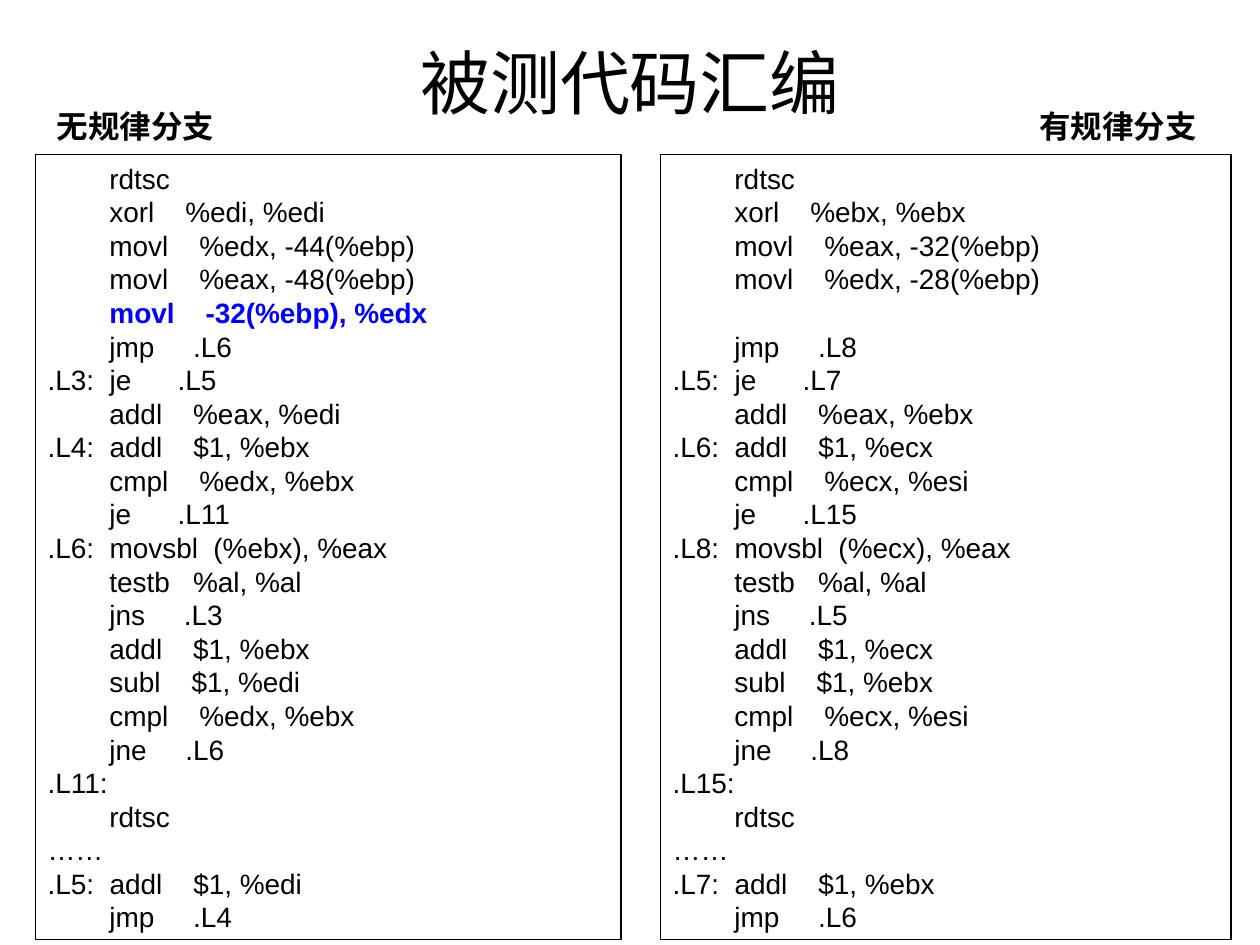
from pptx import Presentation, util as u
from pptx.dml.color import RGBColor
from pptx.enum import shapes, text

COLORS = {"black": "000000", "blue": "0000FF"}

IRREGULAR = """\
        rdtsc
        xorl    %edi, %edi
        movl    %edx, -44(%ebp)
        movl    %eax, -48(%ebp)
        movl    -32(%ebp), %edx
        jmp     .L6
.L3:  je      .L5
        addl    %eax, %edi
.L4:  addl    $1, %ebx
        cmpl    %edx, %ebx
        je      .L11
.L6:  movsbl  (%ebx), %eax
        testb   %al, %al
        jns     .L3
        addl    $1, %ebx
        subl    $1, %edi
        cmpl    %edx, %ebx
        jne     .L6
.L11:
        rdtsc
……
.L5:  addl    $1, %edi
        jmp     .L4"""

REGULAR = """\
        rdtsc
        xorl    %ebx, %ebx
        movl    %eax, -32(%ebp)
        movl    %edx, -28(%ebp)

        jmp     .L8
.L5:  je      .L7
        addl    %eax, %ebx
.L6:  addl    $1, %ecx
        cmpl    %ecx, %esi
        je      .L15
.L8:  movsbl  (%ecx), %eax
        testb   %al, %al
        jns     .L5
        addl    $1, %ecx
        subl    $1, %ebx
        cmpl    %ecx, %esi
        jne     .L8
.L15:
        rdtsc
……
.L7:  addl    $1, %ebx
        jmp     .L6"""

HIGHLIGHT = "movl    -32(%ebp), %edx"
LINE_HEIGHT = u.Pt(19.2)


def set_font(p, name, size, color="black", bold=False):
    p.font.name = name
    p.font.size = u.Pt(size)
    p.font.bold = bold
    p.font.color.rgb = RGBColor.from_string(COLORS[color])


def set_frame(tf, anchor, side, top):
    tf.word_wrap = True
    tf.vertical_anchor = anchor
    tf.margin_left = tf.margin_right = u.Cm(side)
    tf.margin_top = tf.margin_bottom = u.Cm(top)


prs = Presentation()
prs.slide_width, prs.slide_height = u.Cm(25.4), u.Cm(19.05)
s = prs.slides.add_slide(prs.slide_layouts[6])

title = s.shapes.add_textbox(u.Cm(1.27), u.Cm(0.76), u.Cm(22.86), u.Cm(1.75))
set_frame(title.text_frame, text.MSO_ANCHOR.MIDDLE, 0.25, 0.13)
p = title.text_frame.paragraphs[0]
p.text = "被测代码汇编"
p.alignment = text.PP_ALIGN.CENTER
set_font(p, "Calibri", 40)

for left, width, code in [(0.71, 11.81, IRREGULAR), (13.31, 11.51, REGULAR)]:
    sp = s.shapes.add_shape(shapes.MSO_SHAPE.RECTANGLE, u.Cm(left), u.Cm(3.12), u.Cm(width), u.Cm(15.82))
    sp.shadow.inherit = False
    sp.fill.background()
    sp.line.color.rgb = RGBColor.from_string(COLORS["black"])
    sp.line.width = u.Pt(0.75)
    tf = sp.text_frame
    set_frame(tf, text.MSO_ANCHOR.TOP, 0.25, 0.13)
    p = tf.paragraphs[0]
    gap = u.Pt(0)
    for i, line in enumerate(code.split("\n")):
        if not line:
            gap = LINE_HEIGHT
            continue
        if i:
            p = tf.add_paragraph()
            p.space_before = gap
        gap = u.Pt(0)
        p.text = line
        p.alignment = text.PP_ALIGN.LEFT
        p.line_spacing = LINE_HEIGHT
        marked = line.strip() == HIGHLIGHT
        set_font(p, "Arial", 16, "blue" if marked else "black", marked)

for left, label in [(1.09, "无规律分支"), (20.9, "有规律分支")]:
    sp = s.shapes.add_textbox(u.Cm(left), u.Cm(2.13), u.Cm(3.78), u.Cm(0.81))
    set_frame(sp.text_frame, text.MSO_ANCHOR.TOP, 0.05, 0.03)
    p = sp.text_frame.paragraphs[0]
    p.text = label
    set_font(p, "Arial", 18, bold=True)

prs.save("out.pptx")
